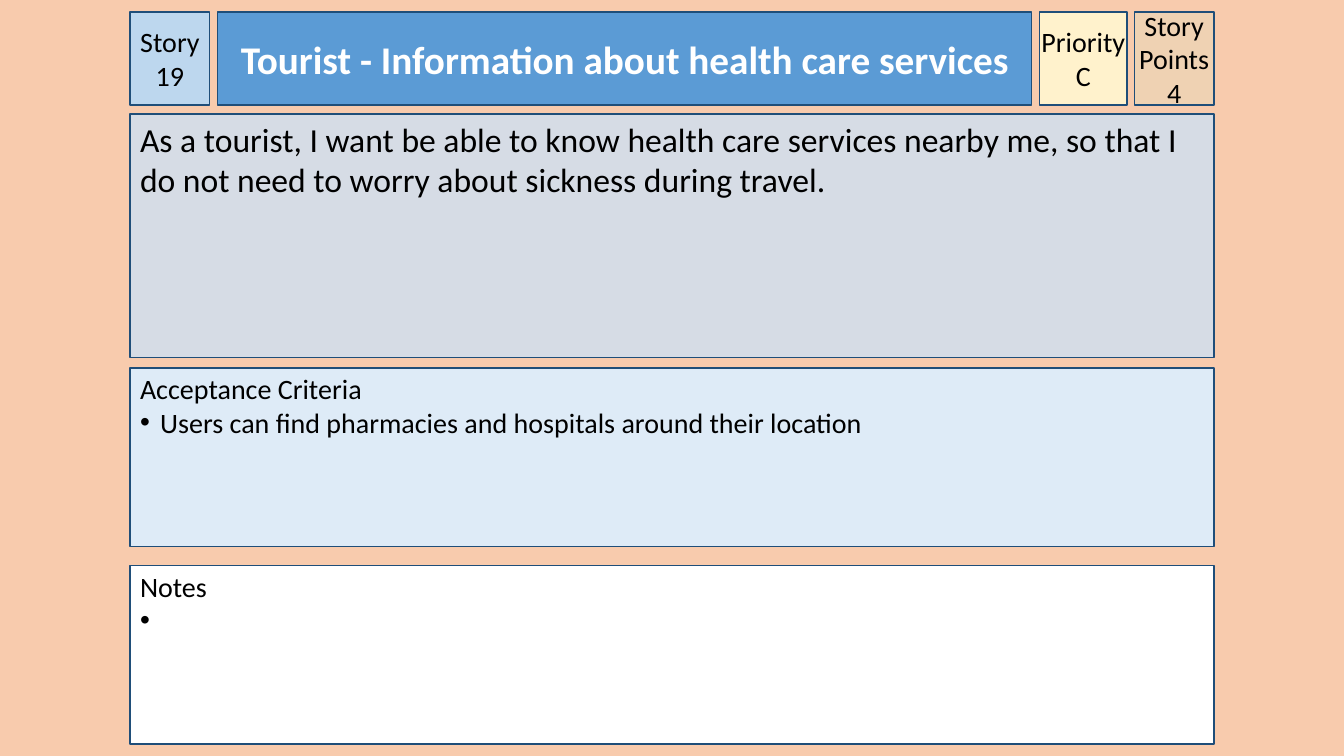
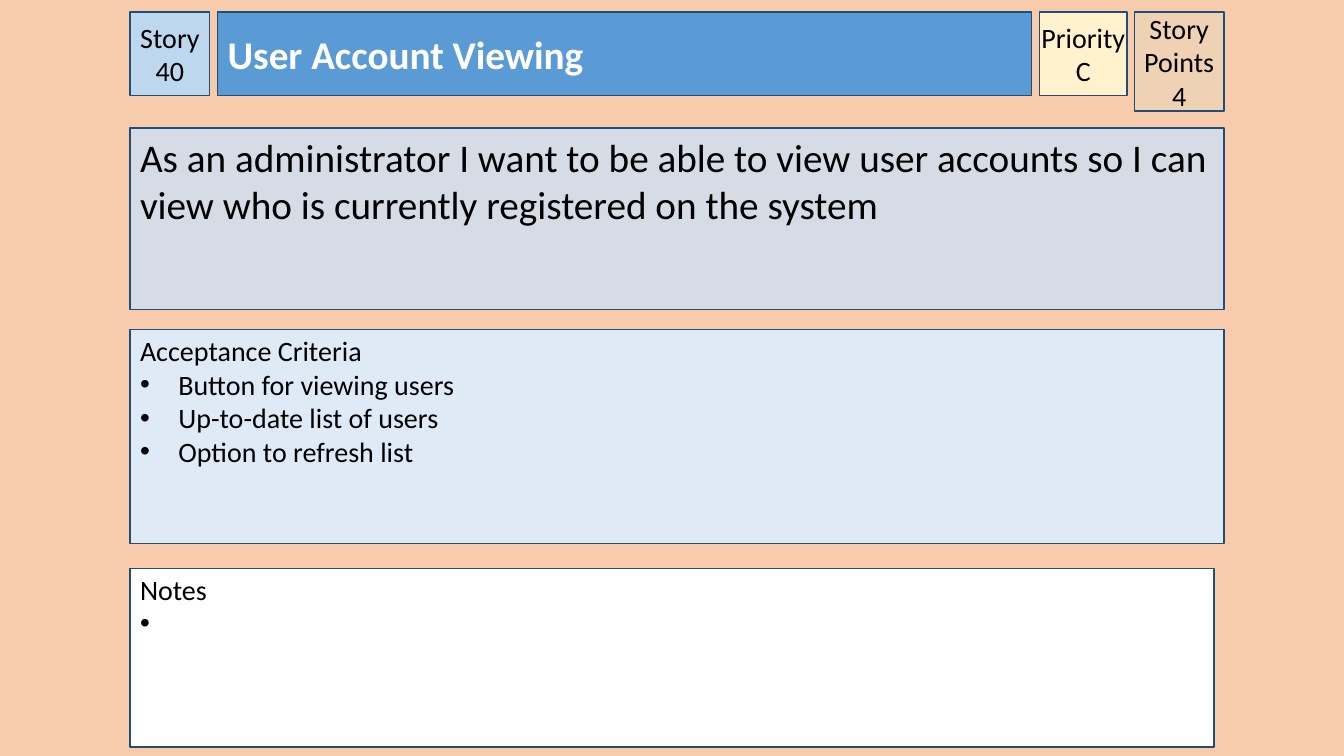
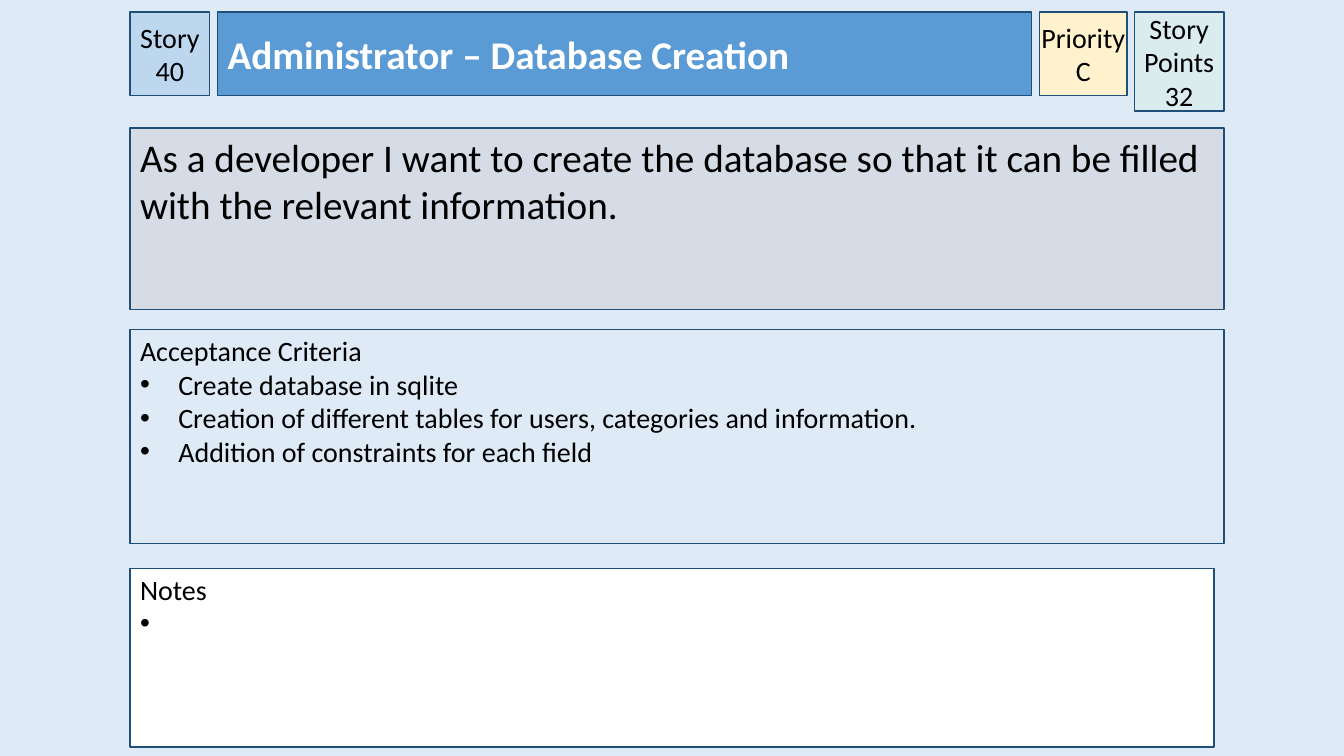
"""Builds three user story cards that share one layout."""
from lxml import etree
from pptx import Presentation
from pptx import util as u
from pptx.dml.color import RGBColor
from pptx.enum import shapes, text
from pptx.oxml.ns import qn

HUE = {
    "peach": "F8CBAD", "pale": "DEEBF7", "sky": "BDD7EE", "blue": "5B9BD5",
    "navy": "1F4E79", "grey": "D6DCE5", "cream": "FFF2CC", "mint": "CCF0CD",
    "white": "FFFFFF", "black": "000000",
}
LEFT, TOP, FULL = 1.29, 0.12, 10.75
MID, LOW = text.MSO_ANCHOR.MIDDLE, text.MSO_ANCHOR.TOP
MAIN, SIDE = text.PP_ALIGN.CENTER, text.PP_ALIGN.LEFT

CARDS = [
    dict(back="peach", story="Story 19", points="4", align=MAIN, size=24,
         title="Tourist - Information about health care services",
         goal="As a tourist, I want be able to know health care services nearby me, "
              "so that I do not need to worry about sickness during travel.",
         tests=["Users can find pharmacies and hospitals around their location"],
         dent=0.2, extra=0, head=0.92, tall=0.92,
         rows=[(1.13, 2.42), (3.65, 1.77), (5.61, 1.77)]),
    dict(back="peach", story="Story 40", points="4",
         title="User Account Viewing",
         goal="As an administrator I want to be able to view user accounts "
              "so I can view who is currently registered on the system",
         tests=["Button for viewing users", "Up-to-date list of users",
                "Option to refresh list"]),
    dict(back="pale", story="Story 40", points="32",
         title="Administrator – Database Creation",
         goal="As a developer I want to create the database so that it can be "
              "filled with the relevant information.",
         tests=["Create database in sqlite",
                "Creation of different tables for users, categories and information.",
                "Addition of constraints for each field"]),
]
BASE = dict(align=SIDE, size=28, dent=0.38, extra=0.1, head=0.83, tall=0.98,
            rows=[(1.27, 1.8), (3.27, 2.12), (5.64, 1.77)])


def box(page, fill, at, lines, size=20, ink="black", bold=False, anchor=LOW,
        align=SIDE, pad=(0.1, 0.05), wrap=True, dent=0):
    """Draws a framed box; with a dent, lines after the first are bullets."""
    shape = page.shapes.add_shape(shapes.MSO_SHAPE.RECTANGLE, *map(u.Inches, at))
    shape.shadow.inherit = False
    shape.fill.solid()
    shape.fill.fore_color.rgb = RGBColor.from_string(HUE[fill])
    shape.line.color.rgb = RGBColor.from_string(HUE["navy"])
    shape.line.width = u.Pt(1)
    frame = shape.text_frame
    frame.word_wrap, frame.vertical_anchor = wrap, anchor
    frame.margin_left = frame.margin_right = u.Inches(pad[0])
    frame.margin_top, frame.margin_bottom = u.Inches(pad[1]), u.Inches(0.05)
    for i, line in enumerate(lines):
        para = frame.add_paragraph() if i else frame.paragraphs[0]
        para.add_run().text = line
        para.alignment = align
        font = para.font
        font.name, font.size, font.bold = "Calibri", u.Pt(size), bold
        font.color.rgb = RGBColor.from_string(HUE[ink])
        if i and dent:
            props = para._p.get_or_add_pPr()
            props.set("marL", str(u.Inches(dent)))
            props.set("indent", str(-u.Inches(dent)))
            face, mark = etree.Element(qn("a:buFont")), etree.Element(qn("a:buChar"))
            face.set("typeface", "Arial")
            mark.set("char", "•")
            props.insert(0, face)
            props.insert(1, mark)
    return shape


deck = Presentation()
deck.slide_width, deck.slide_height = u.Inches(13.33), u.Inches(7.5)
tag = dict(anchor=MID, align=MAIN, pad=(0, 0.05))

for data in CARDS:
    card = BASE | data
    page = deck.slides.add_slide(deck.slide_layouts[6])
    page.background.fill.solid()
    page.background.fill.fore_color.rgb = RGBColor.from_string(HUE[card["back"]])
    head, wide = card["head"], FULL + card["extra"]
    goal, tests, notes = card["rows"]

    box(page, "sky", (LEFT, TOP, 0.79, head), [card["story"]], **tag)
    box(page, "blue", (2.16, TOP, 8.07, head), [card["title"]], size=28,
        ink="white", bold=True, anchor=MID, align=card["align"])
    box(page, "grey", (LEFT, goal[0], wide, goal[1]), [card["goal"]],
        size=card["size"])
    box(page, "pale", (LEFT, tests[0], wide, tests[1]),
        ["Acceptance Criteria"] + card["tests"], pad=(0.1, 0.04), dent=card["dent"])
    points = box(page, "mint", (11.25, TOP, 0.79 + card["extra"], card["tall"]),
                 ["Story Points", card["points"]], **tag)
    tint = points.fill._xPr.find(qn("a:solidFill"))[0]
    etree.SubElement(tint, qn("a:alpha")).set("val", "20000")
    box(page, "cream", (10.31, TOP, 0.87, head), ["Priority", "C"], wrap=False, **tag)
    box(page, "white", (LEFT, notes[0], FULL, notes[1]), ["Notes", " "],
        pad=(0.1, 0.04), dent=0.2)

deck.save("out.pptx")
